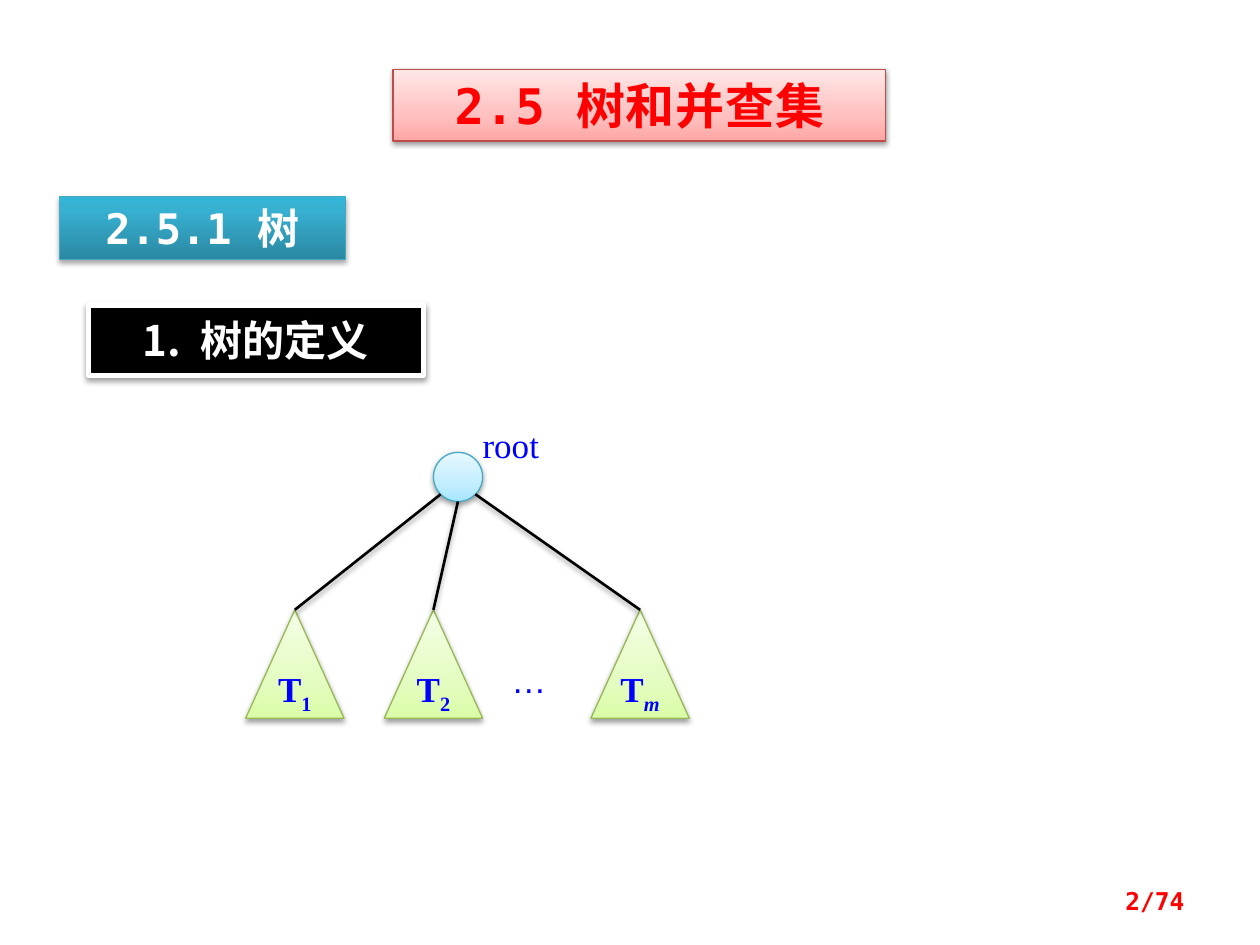
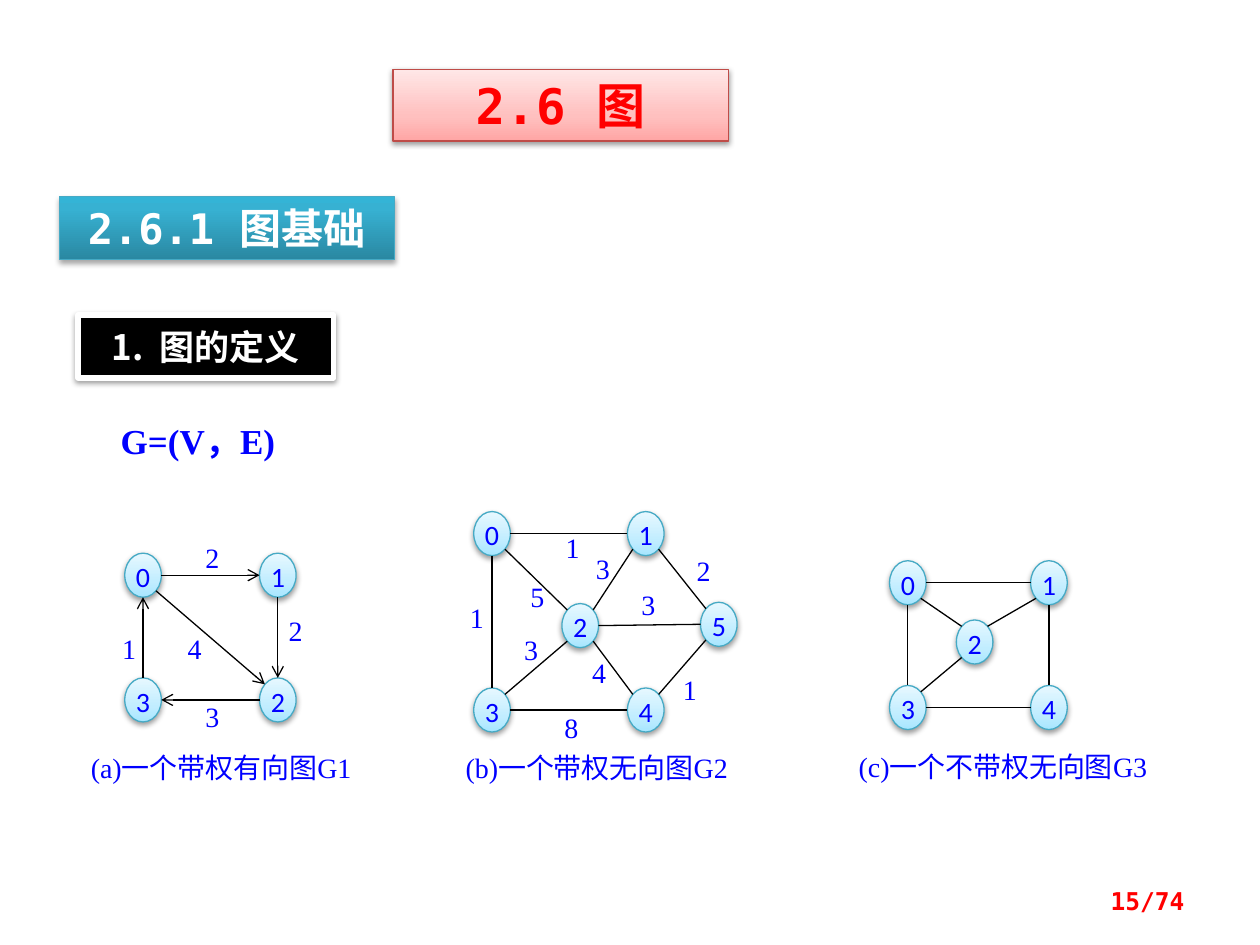
import math

from lxml import etree
from pptx import Presentation
from pptx.dml.color import RGBColor
from pptx.enum.shapes import MSO_CONNECTOR, MSO_SHAPE
from pptx.enum.text import MSO_ANCHOR, MSO_AUTO_SIZE, PP_ALIGN
from pptx.oxml.ns import qn
from pptx.util import Pt

PX = 9144
TITLE_ONLY = 5
PAGE_TOTAL = 74
AXIS_TOLERANCE = 20

RECT = MSO_SHAPE.RECTANGLE
OVAL = MSO_SHAPE.OVAL
TRIANGLE = MSO_SHAPE.ISOSCELES_TRIANGLE
STRAIGHT = MSO_CONNECTOR.STRAIGHT
TOP, MIDDLE = MSO_ANCHOR.TOP, MSO_ANCHOR.MIDDLE
LEFT, CENTER, RIGHT = PP_ALIGN.LEFT, PP_ALIGN.CENTER, PP_ALIGN.RIGHT
NO_AUTOFIT = MSO_AUTO_SIZE.NONE

MONO, SERIF, SANS = "DejaVu Sans Mono", "Times New Roman", "Calibri"
CJK = "Noto Sans CJK SC"

COLORS = {
    "white": "FFFFFF",
    "black": "000000",
    "red": "FF0000",
    "blue": "0000FF",
    "title_line": "BF4C48",
    "aqua_line": "46AAC5",
    "tree_line": "98B955",
}
GRADIENTS = {
    "title": [(0, "FFA6A5"), (35, "FFC0BF"), (100, "FFE7E7")],
    "section": [(0, "2A88A2"), (80, "37B1D2"), (100, "34B4D6")],
    "node": [(0, "A7E6FF"), (35, "C1EDFF"), (100, "E7F8FF")],
    "tree": [(0, "DAFDA7"), (35, "E4FCC2"), (100, "F5FFE7")],
}


def rgb(color):
    return RGBColor.from_string(COLORS[color])


def rim_point(node, target):
    half_w, half_h = node.width / 2, node.height / 2
    x, y = node.left + half_w, node.top + half_h
    dx, dy = target[0] - x, target[1] - y
    across = math.copysign(1, dx) if abs(dx) > AXIS_TOLERANCE * PX else 0
    down = math.copysign(1, dy) if abs(dy) > AXIS_TOLERANCE * PX else 0
    reach = math.sqrt(0.5) if across and down else 1
    return round(x + across * half_w * reach), round(y + down * half_h * reach)


def center(node):
    return node.left + node.width / 2, node.top + node.height / 2


class Deck:
    def __init__(self):
        self.prs = Presentation()
        self.prs.slide_width = 1000 * PX
        self.prs.slide_height = 750 * PX
        self.slide = None

    def new_slide(self, page, title, title_width):
        self.slide = self.prs.slides.add_slide(self.prs.slide_layouts[TITLE_ONLY])
        band = self.slide.shapes.title
        band.left, band.top = 312 * PX, 55 * PX
        band.width, band.height = title_width * PX, 57 * PX
        self.paint(band, "title", "title_line")
        self.set_text(band, title, 28, MONO, "red", bold=True, spacing=50)
        self.text((717, 695, 233, 40), f"{page}/{PAGE_TOTAL}", 14, MONO, "red",
                  bold=True, align=RIGHT, anchor=MIDDLE)

    def shadow(self, effects, alpha=38, distance=20000):
        outer = etree.SubElement(effects, qn("a:outerShdw"), blurRad="40000",
                                 dist=str(distance), dir="5400000", rotWithShape="0")
        color = etree.SubElement(outer, qn("a:srgbClr"), val=COLORS["black"])
        etree.SubElement(color, qn("a:alpha"), val=str(alpha * 1000))

    def paint(self, shape, fill, line=None, line_width=0.75, **shadow):
        if fill in GRADIENTS:
            shape.fill.gradient()
            shape.fill.gradient_angle = 90
            stops = next(shape._element.spPr.iter(qn("a:gsLst")))
            for stop in list(stops):
                stops.remove(stop)
            for place, color in GRADIENTS[fill]:
                stop = etree.SubElement(stops, qn("a:gs"), pos=str(place * 1000))
                etree.SubElement(stop, qn("a:srgbClr"), val=color)
        else:
            shape.fill.solid()
            shape.fill.fore_color.rgb = rgb(fill)
        shape.shadow.inherit = False
        if line is None:
            shape.line.fill.background()
            return
        shape.line.color.rgb = rgb(line)
        shape.line.width = Pt(line_width)
        self.shadow(shape._element.spPr.find(qn("a:effectLst")), **shadow)

    def set_text(self, shape, text, size, font, color="blue", bold=False, align=CENTER,
                 anchor=TOP, insets=(10, 5), spacing=None, line_spacing=None,
                 subscript="", italic_subscript=False):
        frame = shape.text_frame
        frame.word_wrap = True
        frame.auto_size = NO_AUTOFIT
        frame.vertical_anchor = anchor
        frame.margin_left = frame.margin_right = insets[0] * PX
        frame.margin_top = frame.margin_bottom = insets[1] * PX
        paragraph = frame.paragraphs[0]
        paragraph.alignment = align
        if line_spacing:
            paragraph.line_spacing = line_spacing
        paragraph.add_run().text = text
        if subscript:
            run = paragraph.add_run()
            run.text = subscript
            run._r.get_or_add_rPr().set("baseline", "-25000")
            if italic_subscript:
                run.font.italic = True
        paragraph.font.size = Pt(size)
        paragraph.font.bold = bold
        paragraph.font.color.rgb = rgb(color)
        paragraph.font.name = font
        defaults = paragraph._p.pPr.find(qn("a:defRPr"))
        etree.SubElement(defaults, qn("a:ea"), typeface=CJK)
        if spacing:
            defaults.set("spc", str(spacing))

    def shape(self, kind, box, fill, line=None, line_width=0.75, **shadow):
        shape = self.slide.shapes.add_shape(kind, *(n * PX for n in box))
        self.paint(shape, fill, line, line_width, **shadow)
        return shape

    def text(self, box, *content, **style):
        frame = self.slide.shapes.add_textbox(*(n * PX for n in box))
        self.set_text(frame, *content, **style)

    def section(self, text, width):
        band = self.shape(RECT, (47, 156, width, 50), "section", "aqua_line",
                          alpha=35, distance=23000)
        self.set_text(band, text, 24, MONO, "white", bold=True)

    def topic(self, box, text, size):
        plate = self.shape(RECT, box, "black", "white", 3)
        self.set_text(plate, text, size, CJK, "white", bold=True, insets=(10, 8))

    def label(self, box, text):
        patch = self.shape(RECT, box, "white")
        self.set_text(patch, text, 16, SERIF, insets=(0, 0))

    def node(self, x, y, text):
        node = self.shape(OVAL, (x, y, 29, 35), "node", "aqua_line")
        self.set_text(node, text, 16, SANS, insets=(0, 0))
        return node

    def subtree(self, x, index, italic):
        subtree = self.shape(TRIANGLE, (x, 484, 78, 86), "tree", "tree_line")
        self.set_text(subtree, "T", 20, SERIF, bold=True, anchor=MIDDLE, insets=(0, 5),
                      line_spacing=0.8, subscript=index, italic_subscript=italic)
        return subtree

    def edge(self, start, end, width=0.75, arrow=False, shadow=False):
        edge = self.slide.shapes.add_connector(STRAIGHT, *start, *end)
        edge.line.color.rgb = rgb("black")
        edge.line.width = Pt(width)
        if arrow:
            outline = edge._element.spPr.find(qn("a:ln"))
            etree.SubElement(outline, qn("a:tailEnd"), type="arrow")
        effects = etree.SubElement(edge._element.spPr, qn("a:effectLst"))
        if shadow:
            self.shadow(effects)
        return edge

    def branch(self, root, subtree):
        apex = (subtree.left + subtree.width // 2, subtree.top)
        branch = self.edge(rim_point(root, apex), apex, 1.5, shadow=True)
        branch.end_connect(subtree, 0)

    def graph(self, places, edges, caption_box, caption, directed=False):
        for _, _, *weight in edges:
            if weight:
                value, x, y = weight
                self.label((x, y, 21, 27), str(value))
        self.label(caption_box, caption)
        nodes = [self.node(x, y, str(i)) for i, (x, y) in enumerate(places)]
        for tail, head, *_ in edges:
            a, b = nodes[tail], nodes[head]
            self.edge(rim_point(a, center(b)), rim_point(b, center(a)), arrow=directed)


def tree_slide(deck):
    deck.new_slide(2, "2.5 树和并查集", 391)
    deck.section("2.5.1 树", 227)
    deck.topic((70, 242, 266, 56), "1.  树的定义", 24)
    root = deck.shape(OVAL, (344, 359, 39, 39), "node", "aqua_line")
    deck.text((383, 336, 55, 34), "root", 20, SERIF, align=LEFT, insets=(0, 0))
    for x, index in ((195, "1"), (305, "2"), (469, "m")):
        deck.branch(root, deck.subtree(x, index, index == "m"))
    deck.text((406, 523, 47, 34), "…", 20, "Arial", align=LEFT, insets=(0, 0))


def graph_slide(deck):
    deck.new_slide(15, "2.6 图", 266)
    deck.section("2.6.1 图基础", 266)
    deck.topic((62, 250, 203, 50), "1.  图的定义", 20)
    deck.text((86, 328, 172, 44), "G=(V，E)", 20, SERIF, bold=True, align=LEFT)
    deck.graph(
        [(99, 439), (206, 439), (206, 538), (99, 538)],
        [(0, 1, 2, 158, 429), (0, 2, 4, 144, 501), (2, 3, 3, 158, 555),
         (1, 2, 2, 224, 487), (3, 0, 1, 92, 501)],
        (70, 596, 211, 29), "(a)一个带权有向图G1", directed=True)
    deck.graph(
        [(376, 406), (498, 406), (446, 479), (376, 546), (498, 546), (556, 478)],
        [(0, 3, 1, 368, 477), (0, 2, 5, 416, 460), (0, 1, 1, 444, 421),
         (3, 4, 8, 443, 564), (2, 3, 3, 411, 502), (2, 5, 3, 504, 466),
         (1, 5, 2, 548, 439), (4, 5, 1, 537, 534), (1, 2, 3, 468, 438),
         (2, 4, 4, 465, 520)],
        (369, 596, 209, 29), "(b)一个带权无向图G2")
    deck.graph(
        [(706, 445), (818, 445), (759, 492), (706, 544), (818, 544)],
        [(0, 1), (0, 3), (3, 4), (0, 2), (1, 4), (3, 2), (2, 1)],
        (670, 595, 252, 29), "(c)一个不带权无向图G3")


def main():
    deck = Deck()
    tree_slide(deck)
    graph_slide(deck)
    deck.prs.save("out.pptx")


if __name__ == "__main__":
    main()
